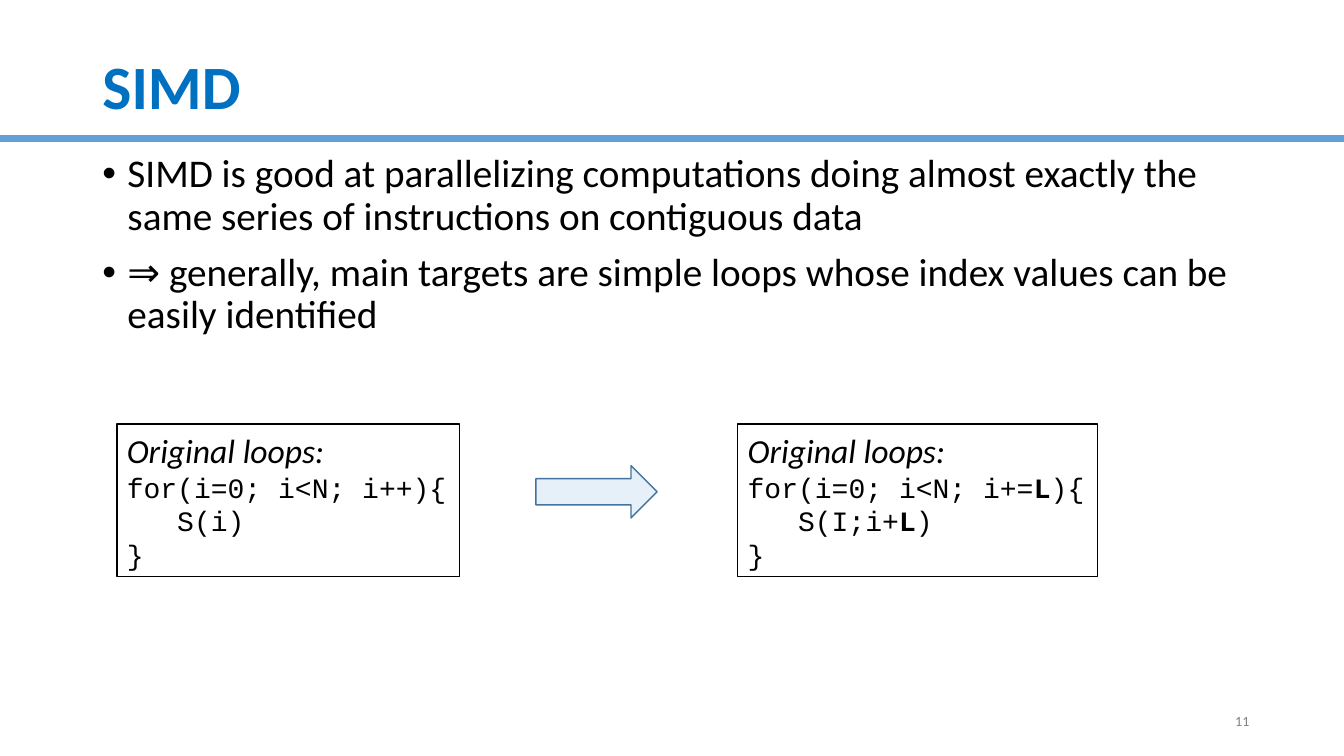
import dataclasses
import typing

import pptx
import pptx.dml.color
import pptx.enum.shapes
import pptx.enum.text
import pptx.oxml
import pptx.oxml.ns
import pptx.util

Pt = pptx.util.Pt
Align = pptx.enum.text.PP_ALIGN
Anchor = pptx.enum.text.MSO_ANCHOR
Fit = pptx.enum.text.MSO_AUTO_SIZE
Kind = pptx.enum.shapes.MSO_SHAPE

HUES = {
    "title": "0070C0",
    "rule": "63A0D7",
    "ink": "000000",
    "page": "808080",
    "arrow": "0070C0",
    "edge": "43739E",
}
SANS = "Calibri"
MONO = "Courier New"


@dataclasses.dataclass
class Box:
    left: float
    top: float
    width: float
    height: float

    def place(self) -> tuple:
        return Pt(self.left), Pt(self.top), Pt(self.width), Pt(self.height)


@dataclasses.dataclass
class Loop:
    box: Box
    head: str
    body: str


LOOPS = [
    Loop(Box(83.5, 303, 244.8, 108.7), "for(i=0; i<N; i++){", "S(i)"),
    Loop(Box(527, 303, 257, 108.7), "for(i=0; i<N; i+=*L*){", "S(I;i+*L*)"),
]
POINTS = [
    "SIMD is good at parallelizing computations doing almost exactly the "
    "same series of instructions on contiguous data",
    "⇒ generally, main targets are simple loops whose index values can be "
    "easily identified",
]


def color(name: str) -> pptx.dml.color.RGBColor:
    return pptx.dml.color.RGBColor.from_string(HUES[name])


def write(frame: typing.Any, text: str, size: float, font: str = SANS,
          hue: str = "ink", bold: bool = False, italic: bool = False,
          align: Align = Align.LEFT, indent: float = 0, bullet: str = "",
          space: float = 0, line: float = 1) -> None:
    """Add a paragraph; parts between asterisks are bold."""
    para = frame.paragraphs[0]
    if para.runs:
        para = frame.add_paragraph()
    para.alignment = align
    para.line_spacing = line
    para.space_before = Pt(space)
    props = para._p.get_or_add_pPr()
    props.set("marL", str(Pt(indent)))
    if bullet:
        props.set("indent", str(-Pt(indent)))
        space_name = pptx.oxml.ns.nsdecls("a")
        for xml in (f'<a:buFont {space_name} typeface="Arial"/>',
                    f'<a:buChar {space_name} char="{bullet}"/>'):
            props.append(pptx.oxml.parse_xml(xml))
    for index, part in enumerate(text.split("*")):
        run = para.add_run()
        run.text = part
        run.font.size = Pt(size)
        run.font.name = font
        run.font.bold = bold or index % 2 == 1
        run.font.italic = italic
        run.font.color.rgb = color(hue)


def setup(frame: typing.Any, anchor: Anchor, wrap: bool = True,
          fit: Fit = Fit.NONE) -> None:
    frame.vertical_anchor = anchor
    frame.word_wrap = wrap
    frame.auto_size = fit


def label(slide: typing.Any, box: Box, anchor: Anchor) -> typing.Any:
    frame = slide.shapes.add_textbox(*box.place()).text_frame
    setup(frame, anchor)
    return frame


def shape(slide: typing.Any, kind: Kind, box: Box, edge: str) -> typing.Any:
    item = slide.shapes.add_shape(kind, *box.place())
    item.shadow.inherit = False
    item.fill.background()
    item.line.color.rgb = color(edge)
    item.line.width = Pt(1)
    return item


def rule(slide: typing.Any, width: float, top: float) -> None:
    line = slide.shapes.add_connector(
        pptx.enum.shapes.MSO_CONNECTOR.STRAIGHT, Pt(width), Pt(top), Pt(0), Pt(top))
    line.line.color.rgb = color("rule")
    line.line.width = Pt(5)
    line._element.spPr.append(
        pptx.oxml.parse_xml(f'<a:effectLst {pptx.oxml.ns.nsdecls("a")}/>'))


def title(slide: typing.Any, text: str, box: Box) -> None:
    item = slide.shapes.title
    item.left, item.top, item.width, item.height = box.place()
    setup(item.text_frame, Anchor.MIDDLE)
    write(item.text_frame, text, size=44, hue="title", bold=True, line=0.9)


def code(slide: typing.Any, loop: Loop) -> None:
    frame = shape(slide, Kind.RECTANGLE, loop.box, "ink").text_frame
    setup(frame, Anchor.MIDDLE, wrap=False, fit=Fit.SHAPE_TO_FIT_TEXT)
    write(frame, "Original loops:", size=24, italic=True)
    for text, indent in ((loop.head, 0), (loop.body, 36), ("}", 0)):
        write(frame, text, size=20, font=MONO, indent=indent)


def arrow(slide: typing.Any, box: Box) -> None:
    item = shape(slide, Kind.RIGHT_ARROW, box, "edge")
    item.fill.solid()
    item.fill.fore_color.rgb = color("arrow")
    tint = item._element.spPr.find(
        f'{pptx.oxml.ns.qn("a:solidFill")}/{pptx.oxml.ns.qn("a:srgbClr")}')
    tint.append(pptx.oxml.parse_xml(
        f'<a:alpha {pptx.oxml.ns.nsdecls("a")} val="10000"/>'))


def main() -> None:
    deck = pptx.Presentation()
    deck.slide_width, deck.slide_height = Pt(960), Pt(540)
    slide = deck.slides.add_slide(deck.slide_layouts[5])
    rule(slide, 960, 99.2)
    title(slide, "SIMD", Box(66, 28.75, 828, 70.5))
    points = label(slide, Box(66, 106.5, 828, 163.5), Anchor.TOP)
    for text in POINTS:
        write(points, text, size=28, indent=18, bullet="•", space=10, line=0.9)
    page = label(slide, Box(683.5, 500.5, 216, 28.75), Anchor.MIDDLE)
    write(page, "11", size=10, hue="page", align=Align.RIGHT)
    for loop in LOOPS:
        code(slide, loop)
    arrow(slide, Box(382.8, 332.6, 86.6, 37.4))
    deck.save("out.pptx")


if __name__ == "__main__":
    main()
